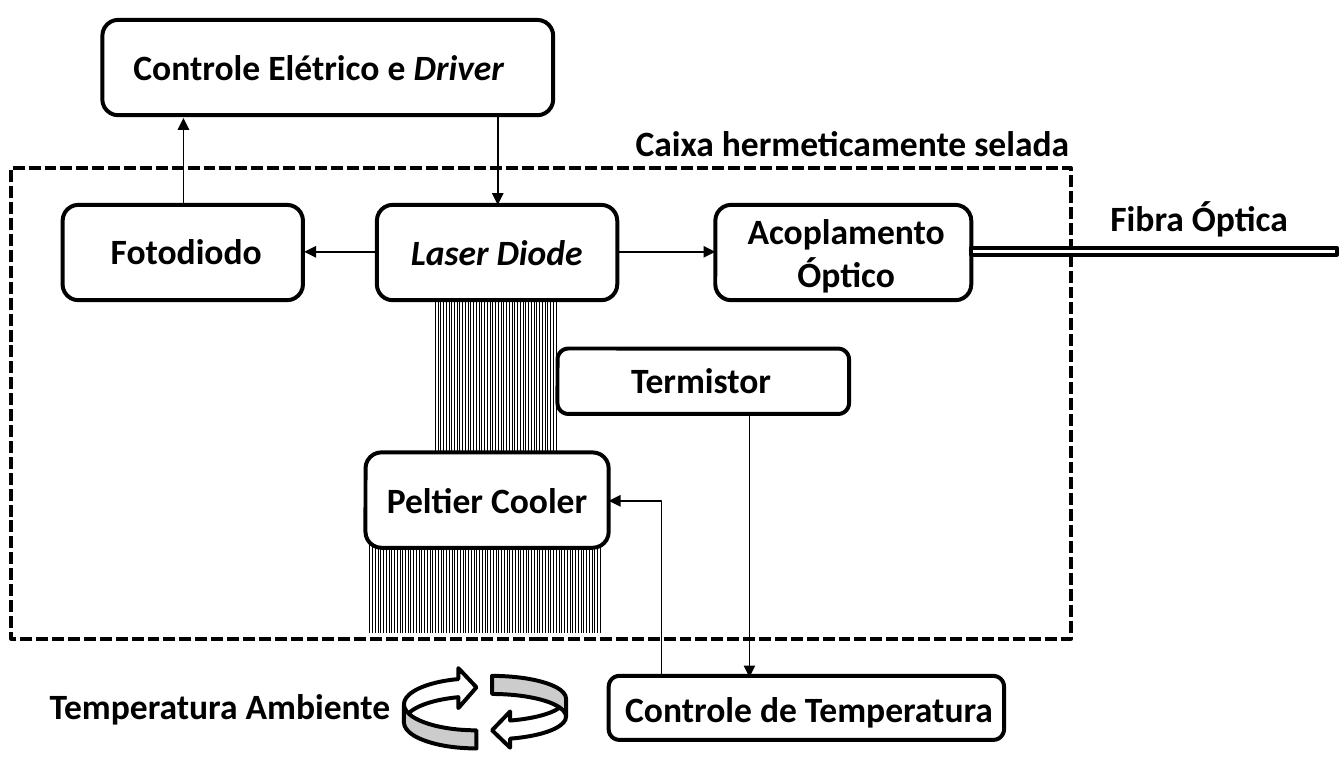
from dataclasses import dataclass

from lxml import etree
from pptx import Presentation
from pptx.dml.color import RGBColor
from pptx.enum.dml import MSO_LINE, MSO_PATTERN
from pptx.enum.shapes import MSO_CONNECTOR, MSO_SHAPE
from pptx.enum.text import MSO_AUTO_SIZE, PP_ALIGN
from pptx.oxml.ns import qn
from pptx.util import Emu, Pt

PX = 9144  # 100 px to the inch
PAGE_WIDTH, PAGE_HEIGHT = 945, 551
BLACK, WHITE = "000000", "FFFFFF"
RECT, ROUNDED = MSO_SHAPE.RECTANGLE, MSO_SHAPE.ROUNDED_RECTANGLE
CURVED = MSO_SHAPE.CURVED_LEFT_ARROW
STRAIGHT, ELBOW = MSO_CONNECTOR.STRAIGHT, MSO_CONNECTOR.ELBOW
LEFT, CENTER = PP_ALIGN.LEFT, PP_ALIGN.CENTER
FONT = {"name": "Calibri", "size": Pt(18), "bold": True}


@dataclass(frozen=True)
class Area:
    left: int
    top: int
    width: int
    height: int

    def emu(self) -> list[Emu]:
        return [px(n) for n in (self.left, self.top, self.width, self.height)]


@dataclass(frozen=True)
class Label:
    """Lines of text; parts between asterisks are italic."""
    area: Area
    lines: tuple[str, ...]
    align: PP_ALIGN = LEFT
    wrap: bool = False


@dataclass(frozen=True)
class Arrow:
    start: tuple[int, int]
    end: tuple[int, int]


HERMETIC_CASE = Area(8, 118, 745, 331)
OPTICAL_FIBER = Area(683, 174, 257, 5)
PELTIER_HEAT = Area(258, 378, 165, 67)
LASER_HEAT = Area(304, 194, 89, 133)

BLOCKS = [
    Area(265, 144, 169, 67),  # laser diode
    Area(503, 144, 180, 67),  # optical coupling
    Area(392, 245, 205, 46),  # thermistor
    Area(44, 144, 169, 67),   # photodiode
    Area(72, 14, 317, 67),    # driver
    Area(257, 318, 171, 67),  # Peltier cooler
    Area(428, 475, 278, 45),  # temperature control
]

LABELS = [
    Label(Area(279, 157, 142, 40), ("*Laser Diode*",)),
    Label(Area(515, 142, 160, 71), ("Acoplamento", "Óptico"), CENTER),
    Label(Area(389, 247, 208, 40), ("Termistor",), CENTER, True),
    Label(Area(25, 476, 262, 40), ("Temperatura Ambiente",)),
    Label(Area(68, 156, 127, 40), ("Fotodiodo",)),
    Label(Area(84, 27, 283, 40), ("Controle Elétrico e *Driver*",)),
    Label(Area(257, 331, 171, 40), ("Peltier Cooler",), CENTER, True),
    Label(Area(428, 478, 282, 40), ("Controle de Temperatura",), CENTER, True),
    Label(Area(771, 133, 146, 40), ("Fibra Óptica",)),
    Label(Area(437, 80, 328, 40), ("Caixa hermeticamente selada",)),
]

ARROWS = [
    Arrow((527, 253), (527, 476)),  # thermistor to temperature control
    Arrow((350, 52), (350, 144)),   # driver to laser
    Arrow((129, 144), (129, 83)),   # photodiode to driver
    Arrow((265, 177), (214, 177)),  # laser to photodiode
    Arrow((434, 177), (503, 177)),  # laser to coupling
]
# Unrotated ends of the temperature control to Peltier cooler link
COOLER_LINK = Arrow((374, 443), (519, 406))


def px(length: int) -> Emu:
    return Emu(length * PX)


def rgb(color: str) -> RGBColor:
    return RGBColor.from_string(color)


def add_outline(page, kind: MSO_SHAPE, area: Area):
    """White shape with a 2 pt black line."""
    shape = page.shapes.add_shape(kind, *area.emu())
    shape.shadow.inherit = False
    shape.fill.solid()
    shape.fill.fore_color.rgb = rgb(WHITE)
    shape.line.color.rgb = rgb(BLACK)
    shape.line.width = Pt(2)
    return shape


def add_hatching(page, area: Area, border: float) -> None:
    """Heat path drawn as light vertical lines."""
    shape = add_outline(page, RECT, area)
    shape.fill.patterned()
    shape.fill.pattern = MSO_PATTERN.LIGHT_VERTICAL
    shape.fill.fore_color.rgb = rgb(BLACK)
    shape.fill.back_color.rgb = rgb(WHITE)
    shape.line.color.rgb = rgb(WHITE)
    shape.line.width = Pt(border)


def add_arrow(page, arrow: Arrow, kind: MSO_CONNECTOR = STRAIGHT):
    ends = [px(n) for n in arrow.start + arrow.end]
    connector = page.shapes.add_connector(kind, *ends)
    connector.line.color.rgb = rgb(BLACK)
    connector.line.width = Pt(0.75)
    etree.SubElement(connector.line._get_or_add_ln(), qn("a:tailEnd"), type="triangle")
    etree.SubElement(connector._element.spPr, qn("a:effectLst"))
    return connector


def add_cooler_link(page) -> None:
    """One-bend connector, turned so that it rises and then runs left."""
    properties = add_arrow(page, COOLER_LINK, ELBOW)._element.spPr
    properties.find(qn("a:prstGeom")).set("prst", "bentConnector2")
    properties.find(qn("a:xfrm")).set("rot", str(270 * 60000))


def add_label(page, label: Label) -> None:
    frame = page.shapes.add_textbox(*label.area.emu()).text_frame
    frame.word_wrap = label.wrap
    frame.auto_size = MSO_AUTO_SIZE.SHAPE_TO_FIT_TEXT
    for number, line in enumerate(label.lines):
        para = frame.add_paragraph() if number else frame.paragraphs[0]
        para.alignment = label.align
        for index, part in enumerate(line.split("*")):
            if not part:
                continue
            span = para.add_run()
            span.text = part
            for name, value in FONT.items():
                setattr(span.font, name, value)
            span.font.italic = index % 2 == 1
            span.font.color.rgb = rgb(BLACK)


def add_air_circulation(page) -> None:
    add_outline(page, CURVED, Area(346, 475, 52, 51))
    rising = add_outline(page, CURVED, Area(284, 469, 51, 57))
    rising.rotation = 180
    rising.adjustments[1] = 0.55


def main() -> None:
    deck = Presentation()
    deck.slide_width, deck.slide_height = px(PAGE_WIDTH), px(PAGE_HEIGHT)
    page = deck.slides.add_slide(deck.slide_layouts[6])

    case = add_outline(page, RECT, HERMETIC_CASE)
    case.line.dash_style = MSO_LINE.SQUARE_DOT
    add_cooler_link(page)
    add_hatching(page, PELTIER_HEAT, 0.25)
    add_hatching(page, LASER_HEAT, 2)
    for arrow in ARROWS:
        add_arrow(page, arrow)
    for block in BLOCKS:
        add_outline(page, ROUNDED, block)
    add_outline(page, RECT, OPTICAL_FIBER)
    add_air_circulation(page)
    for label in LABELS:
        add_label(page, label)
    deck.save("out.pptx")


if __name__ == "__main__":
    main()
